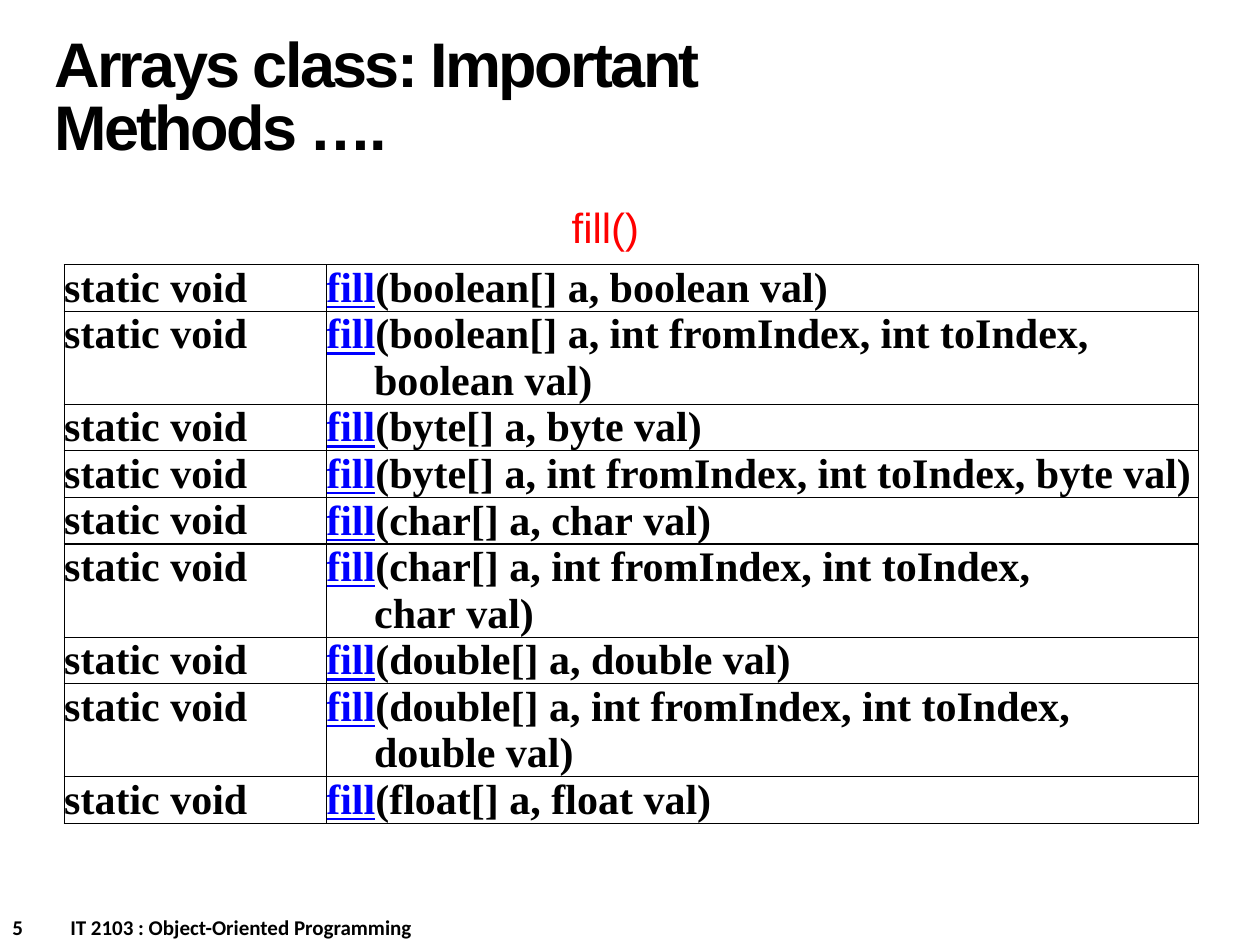
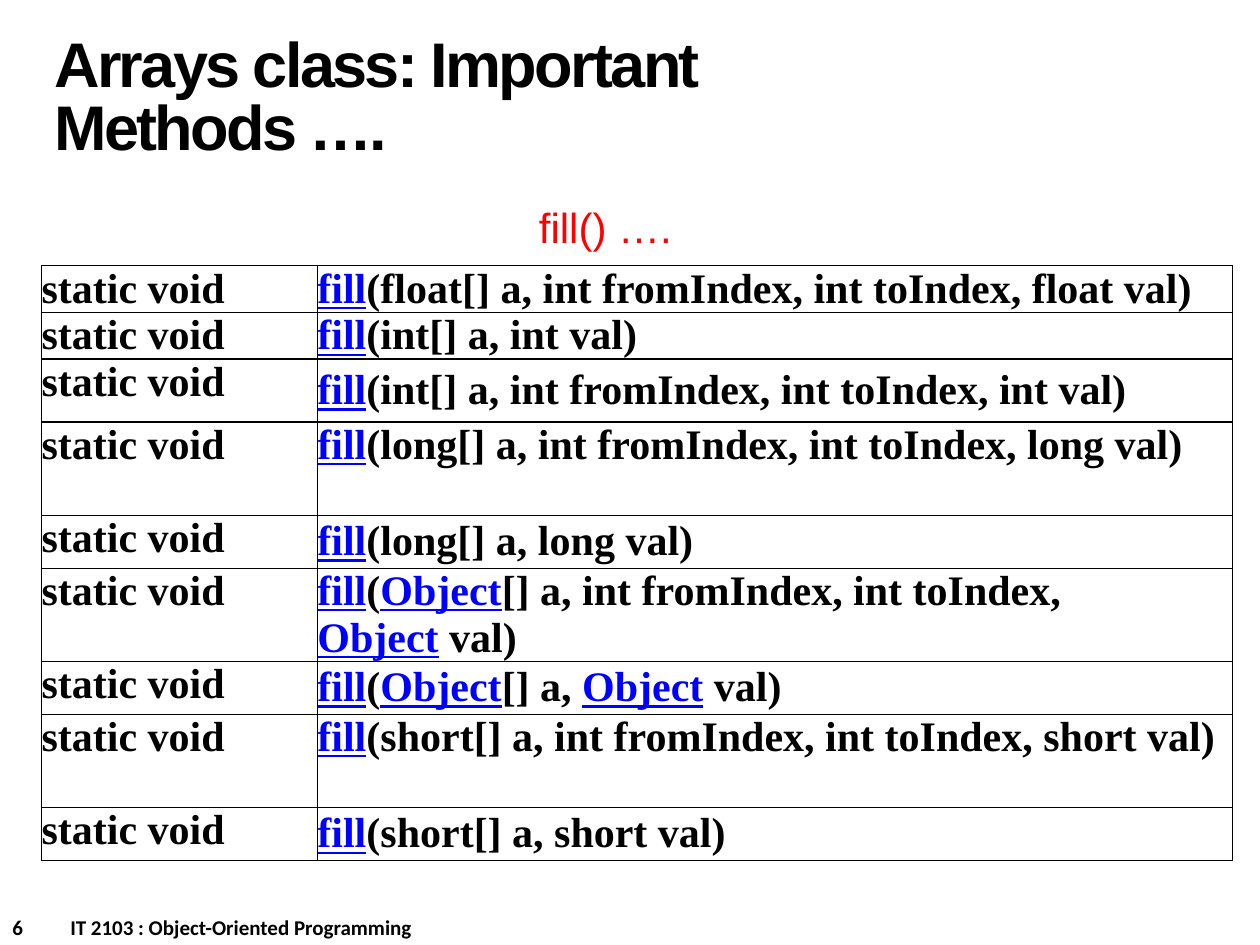
from lxml import etree
from pptx import Presentation
from pptx import util as u
from pptx.dml.color import RGBColor
from pptx.enum import text
from pptx.oxml.ns import qn

BLACK = RGBColor(0, 0, 0)
WHITE = RGBColor(255, 255, 255)
RED = RGBColor(255, 0, 0)
LINK_BLUE = RGBColor(0, 0, 255)

TITLE_STYLE = dict(name="Arial", size=u.Pt(36), bold=True)
SUBTITLE_STYLE = dict(name="Arial", size=u.Pt(24))
FOOTER_STYLE = dict(name="Calibri", size=u.Pt(12), bold=True)
CODE_STYLE = dict(name="Times New Roman", size=u.Pt(24), bold=True)
CODE_SPACING = dict(line_spacing=u.Pt(26.6), space_before=u.Pt(0), space_after=u.Pt(0))

TITLE = "Arrays class: Important Methods …."
COURSE = "IT 2103 : Object-Oriented Programming"
HARD_SPACE = chr(160)
HANGING = 0.38

# Row heights in inches; one and two lines of code grow to fit their text
LINE = 0.36
TWO_LINES = 2 * LINE
TALL = 0.74

# Each method: element type, whether it takes an index range, row height
PAGES = [
    dict(number=5, subtitle="fill()", left=0.51, top=2.1,
         columns=(2.08, 6.92), hanging=HANGING,
         methods=[("boolean", False, LINE), ("boolean", True, TWO_LINES),
                  ("byte", False, LINE), ("byte", True, LINE),
                  ("char", False, LINE), ("char", True, TWO_LINES),
                  ("double", False, LINE), ("double", True, TWO_LINES),
                  ("float", False, LINE)]),
    dict(number=6, subtitle="fill() ….", left=0.33, top=2.11,
         columns=(2.19, 7.26), hanging=0,
         methods=[("float", True, LINE), ("int", False, LINE),
                  ("int", True, 0.5), ("long", True, TALL),
                  ("long", False, 0.42), ("Object", True, TWO_LINES),
                  ("Object", False, 0.42), ("short", True, TALL),
                  ("short", False, 0.42)]),
]


def add_run(paragraph, words, style, color=BLACK):
    run = paragraph.add_run()
    run.text = words
    for key, value in style.items():
        setattr(run.font, key, value)
    run.font.color.rgb = color
    return run


def add_link_word(paragraph, word):
    add_run(paragraph, word, dict(CODE_STYLE, underline=True), LINK_BLUE)


def add_text_line(slide, left, top, width, height):
    """Add a text box and return its first paragraph."""
    frame = slide.shapes.add_textbox(*map(u.Inches, (left, top, width, height))).text_frame
    frame.word_wrap = True
    return frame.paragraphs[0]


def add_title(slide):
    title = slide.shapes.title
    title.left, title.top, title.width, title.height = map(
        u.Inches, (0.33, 0.17, 6.92, 1.25))
    frame = title.text_frame
    frame.vertical_anchor = text.MSO_ANCHOR.MIDDLE
    frame.auto_size = text.MSO_AUTO_SIZE.NONE
    heading = frame.paragraphs[0]
    heading.alignment = text.PP_ALIGN.LEFT
    heading.line_spacing = u.Pt(36)
    run = add_run(heading, TITLE, TITLE_STYLE)
    run.font._element.set("spc", "-150")


def add_subtitle(slide, words):
    subtitle = add_text_line(slide, 0.2, 1.55, 9.21, 0.5)
    subtitle.alignment = text.PP_ALIGN.CENTER
    add_run(subtitle, words, SUBTITLE_STYLE, RED)


def add_footer(slide, number):
    footer = add_text_line(slide, 0, 7.21, 5, 0.3)
    stops = etree.SubElement(footer._p.get_or_add_pPr(), qn("a:tabLst"))
    etree.SubElement(stops, qn("a:tab"), pos=str(u.Inches(0.46)), algn="l")
    add_run(footer, f"{number}\t{COURSE}", FOOTER_STYLE)


def add_borders(cell):
    properties = cell._tc.get_or_add_tcPr()
    for position, side in enumerate(("lnL", "lnR", "lnT", "lnB")):
        line = etree.Element(qn(f"a:{side}"), w=str(u.Pt(0.75)))
        fill = etree.SubElement(line, qn("a:solidFill"))
        etree.SubElement(fill, qn("a:srgbClr"), val=str(BLACK))
        properties.insert(position, line)


def format_cell(cell, anchor, hanging):
    """Style an empty cell and return its paragraph."""
    cell.fill.solid()
    cell.fill.fore_color.rgb = WHITE
    add_borders(cell)
    for side in ("left", "right", "top", "bottom"):
        setattr(cell, f"margin_{side}", 0)
    cell.vertical_anchor = anchor
    paragraph = cell.text_frame.paragraphs[0]
    for key, value in CODE_SPACING.items():
        setattr(paragraph, key, value)
    indents = paragraph._p.get_or_add_pPr()
    indents.set("marL", str(u.Inches(hanging)))
    indents.set("indent", str(-u.Inches(hanging)))
    return paragraph


def write_signature(paragraph, element, ranged):
    """Write fill(...), keeping each type on one line with its argument."""
    arguments = [f"{element}[] a", f"{element} val"]
    if ranged:
        arguments[1:1] = ["int fromIndex", "int toIndex"]
    rest = "(" + ", ".join(a.replace(" ", HARD_SPACE) for a in arguments) + ")"
    add_link_word(paragraph, "fill")
    for index, piece in enumerate(rest.split("Object")):
        if index:
            add_link_word(paragraph, "Object")
        add_run(paragraph, piece, CODE_STYLE)


def add_method_table(slide, left, top, columns, hanging, methods):
    height = sum(row_height for _, _, row_height in methods)
    table = slide.shapes.add_table(
        len(methods), len(columns),
        *map(u.Inches, (left, top, sum(columns), height))).table
    table.first_row = table.horz_banding = False
    for column, width in zip(table.columns, columns):
        column.width = u.Inches(width)
    for row, (element, ranged, row_height) in zip(table.rows, methods):
        row.height = u.Inches(row_height)
        returns, signature = row.cells
        top_anchor = text.MSO_ANCHOR.TOP
        anchor = top_anchor if row_height >= TWO_LINES else text.MSO_ANCHOR.MIDDLE
        add_run(format_cell(returns, top_anchor, hanging),
                f"static{HARD_SPACE}void", CODE_STYLE)
        write_signature(format_cell(signature, anchor, hanging), element, ranged)


def add_page(deck, number, subtitle, **method_table):
    slide = deck.slides.add_slide(deck.slide_layouts.get_by_name("Title Only"))
    add_footer(slide, number)
    add_title(slide)
    add_method_table(slide, **method_table)
    add_subtitle(slide, subtitle)


def main():
    deck = Presentation()
    deck.slide_width, deck.slide_height = u.Inches(10), u.Inches(7.5)
    for page in PAGES:
        add_page(deck, **page)
    deck.save("out.pptx")


if __name__ == "__main__":
    main()
